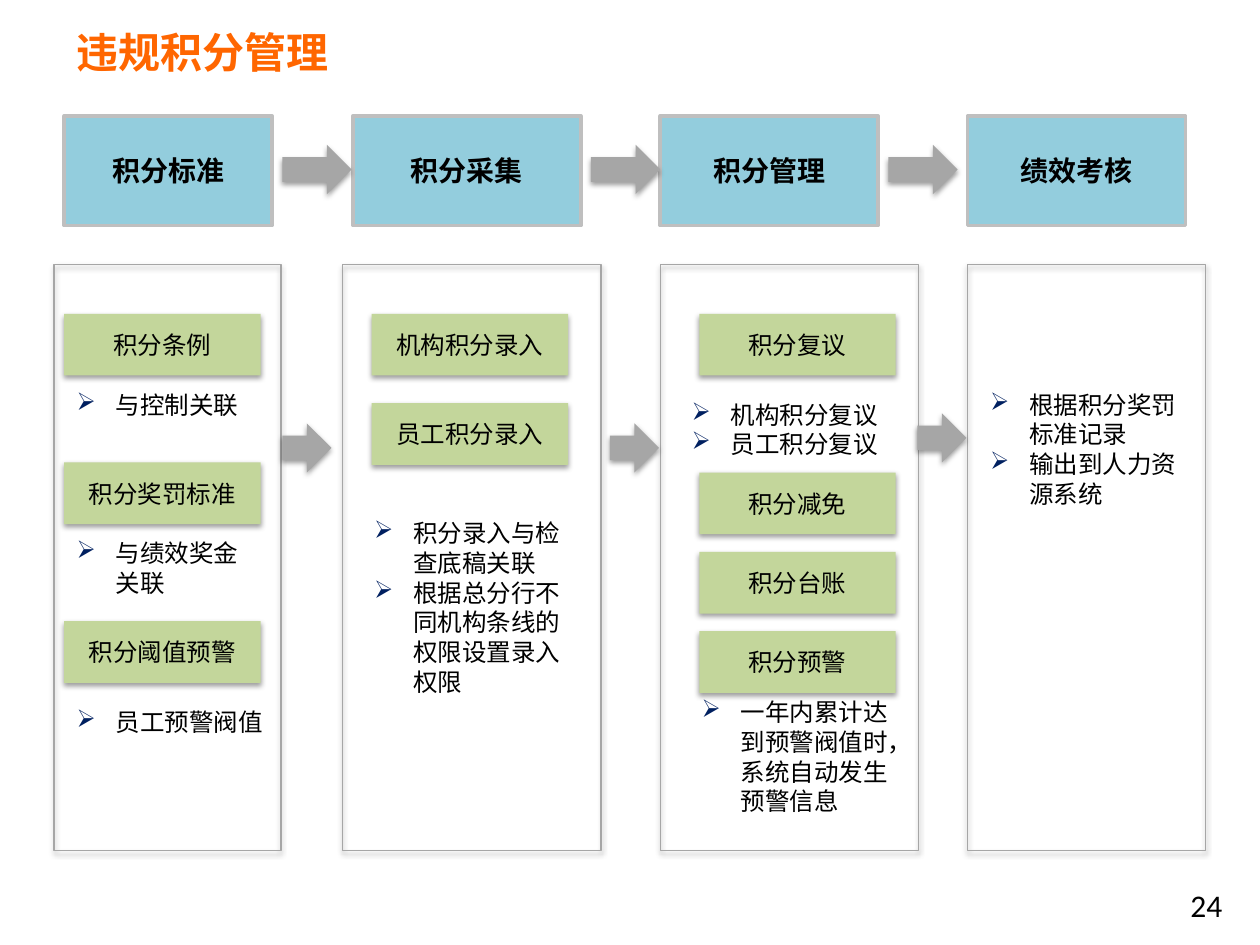
from dataclasses import dataclass

from lxml.etree import SubElement
from pptx import Presentation
from pptx.dml.color import RGBColor
from pptx.enum.shapes import MSO_SHAPE as Shape
from pptx.enum.text import MSO_ANCHOR as Anchor, MSO_AUTO_SIZE as AutoSize, PP_ALIGN as Align
from pptx.oxml.ns import qn
from pptx.util import Inches, Pt

COLORS = {
    "title": "FF6600",
    "text": "000000",
    "stage": "93CDDD",
    "stage_line": "BFBFBF",
    "panel_line": "A6A6A6",
    "arrow": "A6A6A6",
    "topic": "C3D69B",
    "bullet": "002060",
    "shadow": "000000",
}
CJK_FONT = "Noto Sans CJK SC"
NUMBER_FONT = "Calibri"
STAGE_TOP, STAGE_HEIGHT = 0.92, 0.87
PANEL_TOP, PANEL_HEIGHT = 2.1, 4.65
TOPIC_WIDTH, TOPIC_HEIGHT = 1.56, 0.49
BULLET_INDENT = 0.31
BULLET_LINE = 17


@dataclass(frozen=True)
class Box:
    left: float
    top: float
    width: float
    height: float

    def lengths(self) -> list:
        return [Inches(v) for v in (self.left, self.top, self.width, self.height)]


@dataclass(frozen=True)
class Topic:
    label: str
    top: float


@dataclass(frozen=True)
class Notes:
    box: Box
    items: tuple[str, ...]


@dataclass(frozen=True)
class Stage:
    label: str
    left: float
    width: float
    panel_left: float
    panel_width: float
    topic_left: float
    topics: tuple[Topic, ...]
    notes: tuple[Notes, ...]


STAGES = (
    Stage("积分标准", 0.51, 1.65, 0.43, 1.8, 0.51,
          (Topic("积分条例", 2.49), Topic("积分奖罚标准", 3.67), Topic("积分阈值预警", 4.93)),
          (Notes(Box(0.51, 3.04, 1.65, 0.34), ("与控制关联",)),
           Notes(Box(0.51, 4.22, 1.65, 0.57), ("与绩效奖金关联",)),
           Notes(Box(0.51, 5.56, 1.73, 0.34), ("员工预警阀值",)))),
    Stage("积分采集", 2.8, 1.81, 2.72, 2.05, 2.95,
          (Topic("机构积分录入", 2.49), Topic("员工积分录入", 3.2)),
          (Notes(Box(2.87, 4.06, 1.81, 1.51),
                 ("积分录入与检查底稿关联", "根据总分行不同机构条线的权限设置录入权限")),)),
    Stage("积分管理", 5.24, 1.73, 5.24, 2.05, 5.55,
          (Topic("积分复议", 2.49), Topic("积分减免", 3.75),
           Topic("积分台账", 4.38), Topic("积分预警", 5.01)),
          (Notes(Box(5.39, 3.12, 1.73, 0.57), ("机构积分复议", "员工积分复议")),
           Notes(Box(5.47, 5.48, 1.73, 1.04),
                 ("一年内累计达到预警阀值时，系统自动发生预警信息",)))),
    Stage("绩效考核", 7.68, 1.73, 7.68, 1.89, 7.68, (),
          (Notes(Box(7.76, 3.04, 1.73, 1.04),
                 ("根据积分奖罚标准记录", "输出到人力资源系统")),)),
)
STAGE_ARROWS = tuple(Box(left, 1.15, 0.55, 0.39) for left in (2.24, 4.69, 7.05))
PANEL_ARROWS = tuple(Box(left, top, 0.39, 0.39)
                     for left, top in ((2.24, 3.36), (4.84, 3.36), (7.28, 3.28)))


def rgb(role: str) -> RGBColor:
    return RGBColor.from_string(COLORS[role])


def style_text(paragraph, size: float, role: str = "text", bold: bool = False,
               typeface: str = CJK_FONT) -> None:
    for run in paragraph.runs:
        run.font.size = Pt(size)
        run.font.bold = bold
        run.font.color.rgb = rgb(role)
        run.font.name = typeface
        SubElement(run._r.get_or_add_rPr(), qn("a:ea"), typeface=typeface)


def add_soft_shadow(shape) -> None:
    effects = shape._element.spPr.find(qn("a:effectLst"))
    outer = SubElement(effects, qn("a:outerShdw"), blurRad=str(Pt(3.1)), dist=str(Pt(1.6)),
                       dir="5400000", algn="t", rotWithShape="0")
    color = SubElement(outer, qn("a:srgbClr"), val=COLORS["shadow"])
    SubElement(color, qn("a:alpha"), val="38000")


def add_block(slide, kind: Shape, box: Box, fill: str | None = None, line: str | None = None,
              line_width: float = 0.75, shadow: bool = True):
    block = slide.shapes.add_shape(kind, *box.lengths())
    block.shadow.inherit = False
    if fill:
        block.fill.solid()
        block.fill.fore_color.rgb = rgb(fill)
    else:
        block.fill.background()
    if line:
        block.line.color.rgb = rgb(line)
        block.line.width = Pt(line_width)
    else:
        block.line.fill.background()
    if shadow:
        add_soft_shadow(block)
    return block


def add_label(block, label: str, size: float, bold: bool = False) -> None:
    frame = block.text_frame
    frame.text = label
    frame.vertical_anchor = Anchor.MIDDLE
    frame.paragraphs[0].alignment = Align.CENTER
    style_text(frame.paragraphs[0], size, bold=bold)


def add_text_frame(slide, box: Box, text: str):
    frame = slide.shapes.add_textbox(*box.lengths()).text_frame
    frame.word_wrap = True
    frame.text = text
    return frame


def add_notes(slide, notes: Notes) -> None:
    frame = add_text_frame(slide, notes.box, "\n".join(notes.items))
    frame.auto_size = AutoSize.SHAPE_TO_FIT_TEXT
    for paragraph in frame.paragraphs:
        paragraph.line_spacing = Pt(BULLET_LINE)
        properties = paragraph._p.get_or_add_pPr()
        properties.set("marL", str(Inches(BULLET_INDENT)))
        properties.set("indent", str(-Inches(BULLET_INDENT)))
        color = SubElement(properties, qn("a:buClr"))
        SubElement(color, qn("a:srgbClr"), val=COLORS["bullet"])
        SubElement(properties, qn("a:buChar"), char="➢")
        style_text(paragraph, 14)


def add_stage(slide, stage: Stage) -> None:
    header = add_block(slide, Shape.RECTANGLE,
                       Box(stage.left, STAGE_TOP, stage.width, STAGE_HEIGHT),
                       "stage", "stage_line", 2, shadow=False)
    add_label(header, stage.label, 16, bold=True)
    add_block(slide, Shape.RECTANGLE,
              Box(stage.panel_left, PANEL_TOP, stage.panel_width, PANEL_HEIGHT),
              line="panel_line")
    for topic in stage.topics:
        chip = add_block(slide, Shape.RECTANGLE,
                         Box(stage.topic_left, topic.top, TOPIC_WIDTH, TOPIC_HEIGHT), "topic")
        add_label(chip, topic.label, 14)
    for notes in stage.notes:
        add_notes(slide, notes)


def main() -> None:
    deck = Presentation()
    deck.slide_width, deck.slide_height = Inches(10), Inches(7.5)
    slide = deck.slides.add_slide(deck.slide_layouts[6])

    title = add_text_frame(slide, Box(0.51, 0.13, 5.04, 0.54), "违规积分管理").paragraphs[0]
    title.line_spacing = Pt(31)
    style_text(title, 24, "title", bold=True)
    page_number = add_text_frame(slide, Box(7.47, 6.98, 2.33, 0.52), "24").paragraphs[0]
    page_number.alignment = Align.RIGHT
    style_text(page_number, 18, typeface=NUMBER_FONT)

    for stage in STAGES:
        add_stage(slide, stage)
    for arrow in STAGE_ARROWS + PANEL_ARROWS:
        add_block(slide, Shape.RIGHT_ARROW, arrow, "arrow")
    deck.save("out.pptx")


if __name__ == "__main__":
    main()
